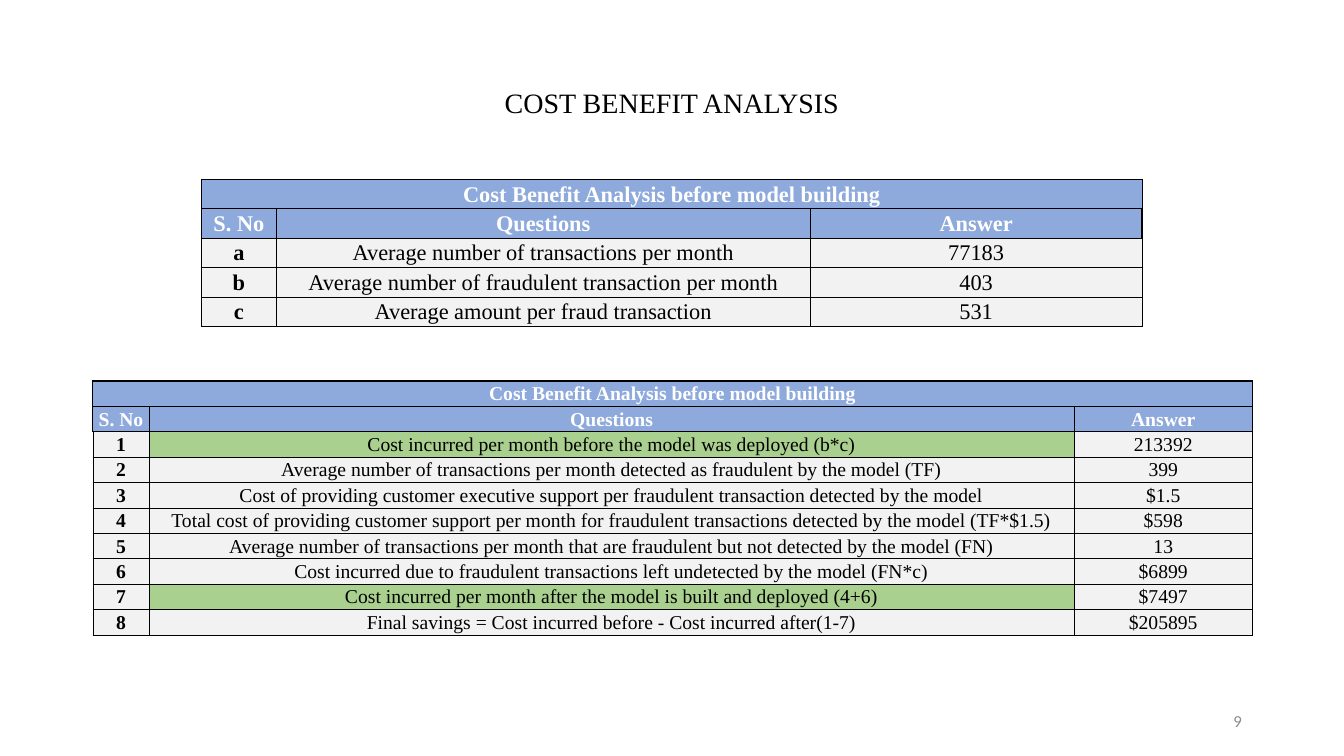
from lxml import etree
from pptx import Presentation
from pptx import util as u
from pptx.dml.color import RGBColor
from pptx.enum import text
from pptx.oxml.ns import qn

COLORS = {
    "ink": "000000",
    "white": "FFFFFF",
    "header": "8EA9DB",
    "body": "F2F2F2",
    "highlight": "A9D08E",
    "number": "8C8C8C",
}
SERIF = "Times New Roman"
TABLE_TITLE = "Cost Benefit Analysis before model building"
HEADINGS = ("S. No", "Questions", "Answer")
BASELINE = [
    ("a", "Average number of transactions per month", "77183"),
    ("b", "Average number of fraudulent transaction per month", "403"),
    ("c", "Average amount per fraud transaction", "531"),
]
SAVINGS = [
    ("1", "Cost incurred per month before the model was deployed (b*c)", "213392"),
    ("2", "Average number of transactions per month detected as fraudulent by the model (TF)", "399"),
    ("3", "Cost of providing customer executive support per fraudulent transaction detected by the model", "$1.5"),
    ("4", "Total cost of providing customer support per month for fraudulent transactions detected by the model (TF*$1.5)", "$598"),
    ("5", "Average number of transactions per month that are fraudulent but not detected by the model (FN)", "13"),
    ("6", "Cost incurred due to fraudulent transactions left undetected by the model (FN*c)", "$6899"),
    ("7", "Cost incurred per month after the model is built and deployed (4+6)", "$7497"),
    ("8", "Final savings = Cost incurred before - Cost incurred after(1-7)", "$205895"),
]


def rgb(name):
    return RGBColor.from_string(COLORS[name])


def add_run(p, words, size, color, font=SERIF, bold=False):
    r = p.add_run()
    r.text = words
    r.font.size = u.Pt(size)
    r.font.name = font
    r.font.bold = bold
    r.font.color.rgb = rgb(color)


def add_label(s, box, words, size, color, font, align):
    sp = s.shapes.add_textbox(*[u.Cm(v) for v in box])
    tf = sp.text_frame
    tf.word_wrap = True
    tf.vertical_anchor = text.MSO_ANCHOR.MIDDLE
    p = tf.paragraphs[0]
    p.alignment = align
    add_run(p, words, size, color, font)


def set_borders(cell, row, col, last_col):
    thick = {
        "lnL": row < 2 and col == 0,
        "lnR": row < 2 and col == last_col,
        "lnT": row in (0, 2),
        "lnB": row == 1,
    }
    tc_pr = cell._tc.get_or_add_tcPr()
    for side, heavy in thick.items():
        ln = etree.SubElement(tc_pr, qn(f"a:{side}"), w=str(u.Pt(1 if heavy else 0.5)))
        fill = etree.SubElement(ln, qn("a:solidFill"))
        etree.SubElement(fill, qn("a:srgbClr"), val=COLORS["ink"])


def style_cell(cell, words, fill, color, size, bold):
    cell.fill.solid()
    cell.fill.fore_color.rgb = rgb(fill)
    cell.vertical_anchor = text.MSO_ANCHOR.MIDDLE
    cell.margin_left = cell.margin_right = cell.margin_top = u.Cm(0.02)
    cell.margin_bottom = 0
    p = cell.text_frame.paragraphs[0]
    p.alignment = text.PP_ALIGN.CENTER
    if words:
        add_run(p, words, size, color, bold=bold)


def add_cost_table(s, left, top, widths, row_height, size, entries, highlighted=()):
    rows = [(TABLE_TITLE, "", ""), HEADINGS, *entries]
    frame = s.shapes.add_table(
        len(rows), len(widths), u.Cm(left), u.Cm(top),
        u.Cm(sum(widths)), u.Cm(row_height * len(rows)))
    table = frame.table
    for column, width in zip(table.columns, widths):
        column.width = u.Cm(width)
    last_col = len(widths) - 1
    for i, row in enumerate(rows):
        table.rows[i].height = u.Cm(row_height)
        for j, words in enumerate(row):
            cell = table.cell(i, j)
            is_header = i < 2
            fill = "header" if is_header else "body"
            if j == 1 and row[0] in highlighted:
                fill = "highlight"
            set_borders(cell, i, j, last_col)
            style_cell(cell, words, fill, "white" if is_header else "ink",
                       size, is_header or j == 0)
    table.cell(0, 0).merge(table.cell(0, last_col))


def build_cost_slide(prs):
    s = prs.slides.add_slide(prs.slide_layouts[6])
    add_label(s, (12.04, 2.01, 9.78, 1.12), "COST BENEFIT ANALYSIS", 20, "ink",
              SERIF, text.PP_ALIGN.CENTER)
    add_cost_table(s, 5.08, 4.52, (1.88, 13.46, 8.36), 0.74, 16, BASELINE)
    add_cost_table(s, 2.34, 9.6, (1.42, 23.31, 4.49), 0.64, 14, SAVINGS, ("1", "7"))
    add_label(s, (23.93, 17.65, 7.62, 1.02), "9", 12, "number",
              "Calibri", text.PP_ALIGN.RIGHT)


def main():
    prs = Presentation()
    prs.slide_width = u.Cm(33.87)
    prs.slide_height = u.Cm(19.05)
    build_cost_slide(prs)
    prs.save("out.pptx")


if __name__ == "__main__":
    main()
